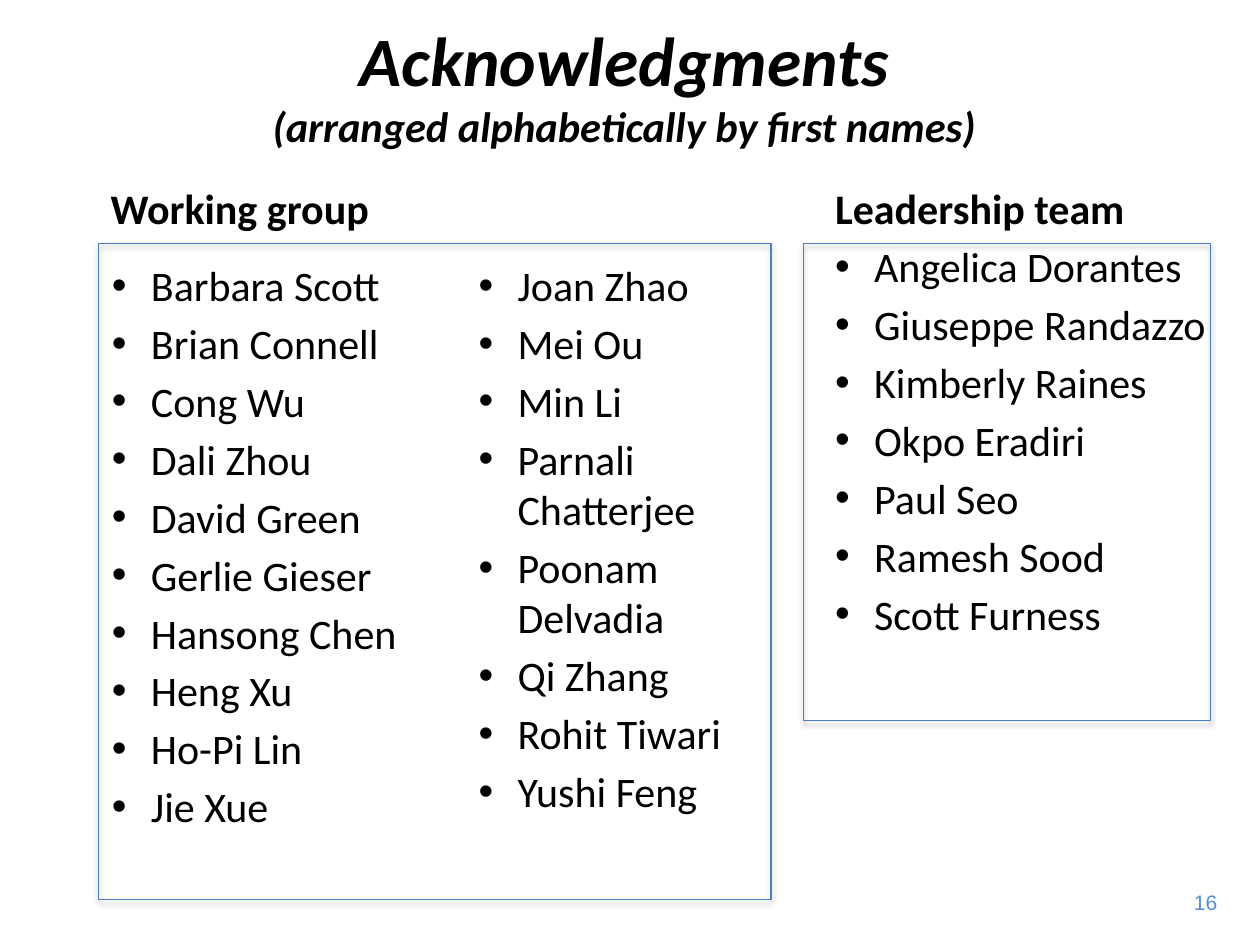
from lxml import etree
from pptx import Presentation
from pptx import util as u
from pptx.dml.color import RGBColor
from pptx.enum import shapes, text
from pptx.oxml import ns

COLORS = {"ink": "000000", "border": "4B7EBC", "number": "558ED5", "shadow": "000000"}
BODY = {"size": u.Pt(24), "name": "Calibri"}
HEADING = {**BODY, "bold": True}
TITLE = {**HEADING, "size": u.Pt(39.6), "italic": True}
SUBTITLE = {**TITLE, "size": u.Pt(24.3)}
NUMBER = {"size": u.Pt(12), "name": "Arial"}

WORKING_GROUP = [
    ["Barbara Scott", "Brian Connell", "Cong Wu", "Dali Zhou", "David Green",
     "Gerlie Gieser", "Hansong Chen", "Heng Xu", "Ho-Pi Lin", "Jie Xue"],
    ["Joan Zhao", "Mei Ou", "Min Li", "Parnali Chatterjee", "Poonam Delvadia",
     "Qi Zhang", "Rohit Tiwari", "Yushi Feng"],
]
LEADERSHIP_TEAM = ["Angelica Dorantes", "Giuseppe Randazzo", "Kimberly Raines",
                   "Okpo Eradiri", "Paul Seo", "Ramesh Sood", "Scott Furness"]


class SlideBuilder:
    """Holds the style and the current slide."""

    indent = u.Inches(0.31)
    gap = u.Pt(4.3)

    def __init__(self, slide):
        self.slide = slide

    def text_box(self, left, top, width, height, **frame_format):
        box = self.slide.shapes.add_textbox(*map(u.Inches, (left, top, width, height)))
        for name, value in {"word_wrap": True, **frame_format}.items():
            setattr(box.text_frame, name, value)
        return box.text_frame

    def run(self, paragraph, words, font_format, color="ink"):
        run = paragraph.add_run()
        run.text = words
        for name, value in font_format.items():
            setattr(run.font, name, value)
        run.font.color.rgb = RGBColor.from_string(COLORS[color])

    def name_list(self, names, left, top, width, height, heading=None):
        frame = self.text_box(left, top, width, height)
        paragraph = frame.paragraphs[0]
        if heading:
            self.run(paragraph, heading, HEADING)
            paragraph = frame.add_paragraph()
        for index, name in enumerate(names):
            if index:
                paragraph = frame.add_paragraph()
            paragraph.space_before = self.gap
            self.bullet(paragraph)
            self.run(paragraph, name, BODY)

    def bullet(self, paragraph):
        properties = paragraph._p.get_or_add_pPr()
        properties.set("marL", str(self.indent))
        properties.set("indent", str(-self.indent))
        etree.SubElement(properties, ns.qn("a:buFont"), typeface="Arial")
        etree.SubElement(properties, ns.qn("a:buChar"), char="•")

    def frame(self, left, top, width, height):
        shape = self.slide.shapes.add_shape(
            shapes.MSO_SHAPE.RECTANGLE, *map(u.Inches, (left, top, width, height)))
        shape.fill.background()
        shape.line.color.rgb = RGBColor.from_string(COLORS["border"])
        shape.line.width = u.Pt(0.75)
        # Soft shadow below the frame
        shape.shadow.inherit = False
        effects = shape._element.spPr.find(ns.qn("a:effectLst"))
        shadow = etree.SubElement(
            effects, ns.qn("a:outerShdw"), blurRad=str(u.Pt(3.1)), dist=str(u.Pt(1.8)),
            dir=str(90 * 60000), rotWithShape="0")
        color = etree.SubElement(shadow, ns.qn("a:srgbClr"), val=COLORS["shadow"])
        etree.SubElement(color, ns.qn("a:alpha"), val="35000")


def main():
    presentation = Presentation()
    presentation.slide_width, presentation.slide_height = u.Inches(10), u.Inches(7.5)
    builder = SlideBuilder(presentation.slides.add_slide(presentation.slide_layouts[6]))

    # Slide number
    number = builder.text_box(9.35, 7.01, 0.41, 0.3, word_wrap=False).paragraphs[0]
    number.alignment = text.PP_ALIGN.RIGHT
    builder.run(number, "16", NUMBER, "number")

    # Title
    title = builder.text_box(0.29, 0.04, 9.33, 1.25,
                             vertical_anchor=text.MSO_ANCHOR.MIDDLE).paragraphs[0]
    title.alignment = text.PP_ALIGN.CENTER
    builder.run(title, "Acknowledgments", TITLE)
    title.add_line_break()
    builder.run(title, "(arranged alphabetically by first names)", SUBTITLE)

    # Leadership team
    builder.name_list(LEADERSHIP_TEAM, 6.53, 1.4, 3.4, 3.9, "Leadership team")

    # Working group in two columns
    for names, left, width in zip(WORKING_GROUP, (0.79, 3.7), (2.63, 2.43)):
        builder.name_list(names, left, 2.01, width, 4.8)
    heading = builder.text_box(0.78, 1.4, 2.27, 0.5, word_wrap=False).paragraphs[0]
    builder.run(heading, "Working group", HEADING)

    # Frames around both groups
    builder.frame(0.78, 1.93, 5.34, 5.21)
    builder.frame(6.38, 1.93, 3.23, 3.79)

    presentation.save("out.pptx")


if __name__ == "__main__":
    main()
